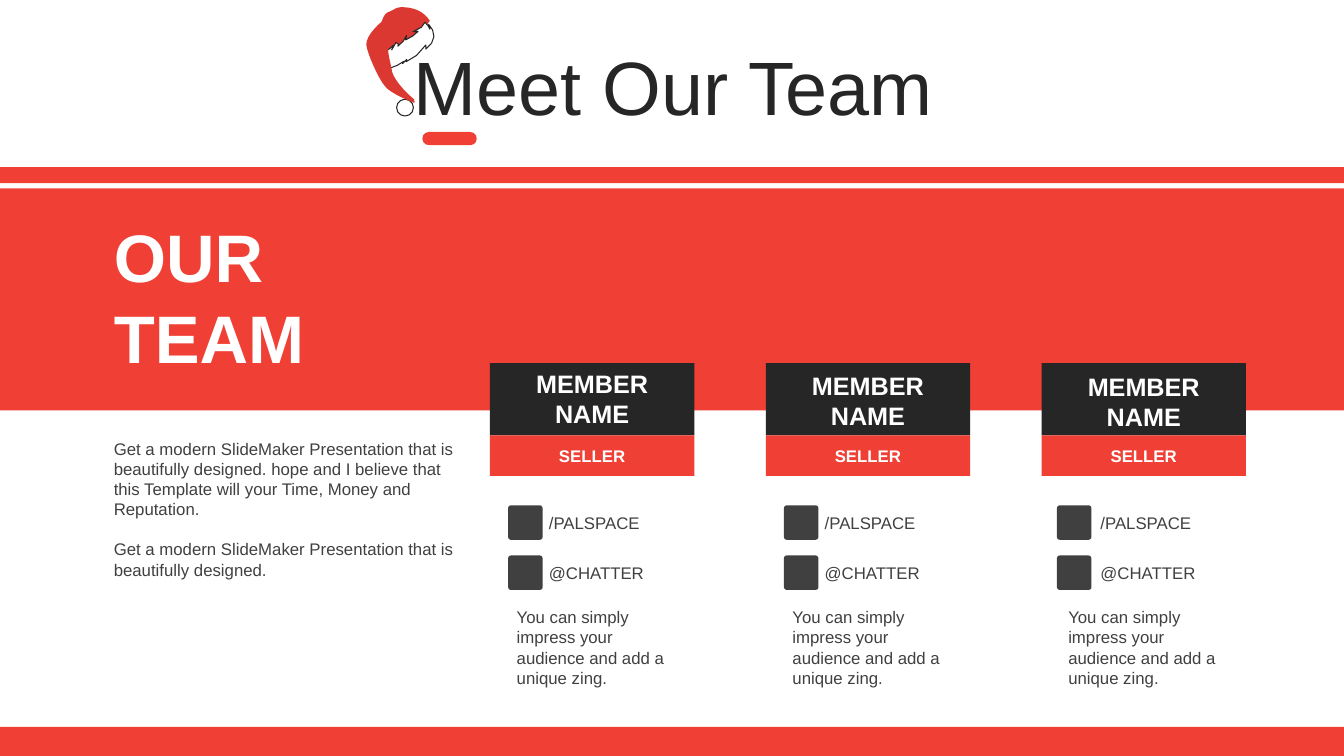
from dataclasses import dataclass

import pptx
import pptx.dml.color
import pptx.enum.shapes
import pptx.enum.text
import pptx.util
from pptx.util import Pt

SHAPE = pptx.enum.shapes.MSO_SHAPE
ALIGN = pptx.enum.text.PP_ALIGN
ANCHOR = pptx.enum.text.MSO_ANCHOR


@dataclass(frozen=True)
class Theme:
    font: str = "Arial"
    red: str = "F04036"
    hat_red: str = "DC3832"
    dark: str = "262626"
    grey: str = "404040"
    white: str = "FFFFFF"
    title: int = 54
    heading: int = 48
    name: int = 18
    body: int = 12


THEME = Theme()
SLIDE_WIDTH, SLIDE_HEIGHT = 960, 540
CARD_LEFT, CARD_PITCH, CARD_WIDTH = 350, 197, 146
HAT_ROTATION = 345.1

# Each curve is a start point followed by groups of two handles and an end point.
HAT_CROWN = [
    (269.3, 32.4),
    (267.8, 31.7), (267.1, 31), (265.7, 30.2),
    (265, 25.2), (268.6, 19.4), (271.4, 15.1),
    (275, 11.5), (276.5, 6.5), (281.5, 6.5),
    (286.6, 5.8), (286.6, 4.3), (293, 6.5),
    (298.8, 8.6), (304.6, 12.2), (307.4, 20.2),
    (303.1, 23.8), (298.8, 27.4), (294.5, 31),
    (290.2, 31), (283.7, 31.7), (279.4, 31.7),
    (275, 32.4), (272.9, 32.4), (269.3, 32.4),
]
HAT_TAIL = [
    (285.8, 75.6),
    (285.1, 74.9), (272.9, 66.2), (270.7, 59.8),
    (267.8, 53.3), (265, 35.3), (265.7, 28.8),
    (266.4, 22.3), (281.5, 13.7), (285.1, 14.4),
    (288.7, 15.1), (283.7, 28.1), (281.5, 31.7),
    (278.6, 36), (279.4, 44.6), (278.6, 51.8),
    (278.6, 58.3), (284.4, 69.1), (288.7, 74.9),
    (288, 76.3), (290.2, 79.2), (285.8, 75.6),
]
HAT_BRIM = [
    (309.6, 22.3), (309.6, 25.9), (308.9, 23), (307.4, 20.2), (304, 23),
    (297.4, 24.5), (301, 25.2), (296.5, 27.4), (290.9, 28.8), (292.3, 25.9),
    (289, 29.2), (284.4, 31.7), (285, 30.2), (283.7, 28.8), (279.4, 33.1),
    (281.5, 30.2), (278, 32), (273.6, 33.1), (270, 32.8), (267.8, 31),
    (267.3, 33.5), (268.6, 36.7), (267.8, 36.7), (272.2, 43.9), (270.7, 42.5),
    (272.2, 44.6), (275, 45.4), (280.5, 44.8), (285.8, 43.2), (284.4, 44.6),
    (288, 42.5), (287.3, 43.9), (295.5, 41.5), (303.8, 36), (303.1, 38.9),
    (308.2, 35.8), (311, 31.7), (311.3, 27),
]


def rgb(color):
    return pptx.dml.color.RGBColor.from_string(color)


def paint(shape, fill, line=None):
    shape.shadow.inherit = False
    shape.fill.solid()
    shape.fill.fore_color.rgb = rgb(fill)
    if line:
        shape.line.color.rgb = rgb(line)
        shape.line.width = Pt(0.75)
    else:
        shape.line.fill.background()


def add_block(slide, left, top, width, height, fill, kind=SHAPE.RECTANGLE,
              line=None, corner=None):
    shape = slide.shapes.add_shape(kind, Pt(left), Pt(top), Pt(width), Pt(height))
    if corner is not None:
        shape.adjustments[0] = corner
    paint(shape, fill, line)
    return shape


def add_text(slide, paragraphs, left, top, width, height, size=THEME.body,
             color=THEME.grey, bold=False, align=ALIGN.LEFT, anchor=ANCHOR.TOP,
             gap=0, line_spacing=None):
    box = slide.shapes.add_textbox(Pt(left), Pt(top), Pt(width), Pt(height))
    frame = box.text_frame
    frame.word_wrap = True
    frame.vertical_anchor = anchor
    for index, text in enumerate(paragraphs):
        paragraph = frame.add_paragraph() if index else frame.paragraphs[0]
        paragraph.alignment = align
        if line_spacing:
            paragraph.line_spacing = line_spacing
        if index and gap:
            paragraph.space_before = Pt(gap)
        run = paragraph.add_run()
        run.text = text
        run.font.name = THEME.font
        run.font.size = Pt(size)
        run.font.bold = bold
        run.font.color.rgb = rgb(color)


def curve_points(curve, steps=8):
    """Return points along a chain of cubic Bézier segments."""
    points = [curve[0]]
    for start in range(0, len(curve) - 1, 3):
        a, b, c, d = curve[start:start + 4]
        for step in range(1, steps + 1):
            t = step / steps
            u = 1 - t
            points.append(tuple(
                u**3 * a[axis] + 3 * u * u * t * b[axis]
                + 3 * u * t * t * c[axis] + t**3 * d[axis] for axis in (0, 1)))
    return points


def add_outline(slide, points, fill, line=None):
    builder = slide.shapes.build_freeform(*points[0], scale=Pt(1))
    # Work in hundredths of a point so that small curves stay smooth.
    builder = slide.shapes.build_freeform(
        *(round(value * 100) for value in points[0]), scale=Pt(1) / 100)
    builder.add_line_segments(
        [(round(x * 100), round(y * 100)) for x, y in points[1:]], close=True)
    shape = builder.convert_to_shape()
    shape.rotation = HAT_ROTATION
    paint(shape, fill, line)


def add_hat(slide):
    add_outline(slide, curve_points(HAT_CROWN), THEME.hat_red)
    add_block(slide, 283.3, 70.9, 12, 12, THEME.white, SHAPE.OVAL, THEME.dark)
    add_outline(slide, HAT_BRIM, THEME.white, THEME.dark)
    add_outline(slide, curve_points(HAT_TAIL), THEME.hat_red)


def add_member(slide, left, name_top, icon_left):
    add_block(slide, left, 259.4, CARD_WIDTH, 51.6, THEME.dark)
    add_block(slide, left, 311, CARD_WIDTH, 29, THEME.red)
    label = dict(color=THEME.white, bold=True, align=ALIGN.CENTER, anchor=ANCHOR.MIDDLE)
    add_text(slide, ["MEMBER", "NAME"], left + 15, name_top, 116, 51,
             size=THEME.name, **label)
    add_text(slide, ["SELLER"], left + 15, 314.6, 116, 22.3, **label)
    for row, handle in enumerate(["/PALSPACE", "@CHATTER"]):
        top = 361 + 35.8 * row
        add_block(slide, icon_left, top, 24.6, 24.6, THEME.grey,
                  SHAPE.ROUNDED_RECTANGLE, corner=0.08)
        add_text(slide, [handle], left + 35, top + 1.2, 96.5, 21.8, anchor=ANCHOR.MIDDLE)
    add_text(slide, ["You can simply impress your audience and add a unique zing."],
             left + 12, 430, 122.4, 65.5)


def main():
    presentation = pptx.Presentation()
    presentation.slide_width = Pt(SLIDE_WIDTH)
    presentation.slide_height = Pt(SLIDE_HEIGHT)
    slide = presentation.slides.add_slide(presentation.slide_layouts[6])

    for top, height in [(134.6, 158.6), (119.4, 11.4), (519.2, 20.8)]:
        add_block(slide, 0, top, SLIDE_WIDTH, height, THEME.red)
    add_text(slide, ["Meet Our Team"], 25.2, 36.7, 911.5, 56.9, size=THEME.title,
             color=THEME.dark, align=ALIGN.CENTER, anchor=ANCHOR.MIDDLE,
             line_spacing=0.9)
    add_text(slide, ["OUR", "TEAM"], 74.2, 150.5, 226.8, 124.6, size=THEME.heading,
             color=THEME.white, bold=True)
    add_text(slide, [
        "Get a modern SlideMaker Presentation that is beautifully designed. hope and "
        "I believe that this Template will your Time, Money and Reputation.",
        "Get a modern SlideMaker Presentation that is beautifully designed.",
    ], 74.2, 309.6, 261.4, 108.7, gap=14.4)

    for column, (name_top, icon_shift) in enumerate([(259.2, 13), (260.6, 13), (261.4, 11)]):
        left = CARD_LEFT + CARD_PITCH * column
        add_member(slide, left, name_top, left + icon_shift)
    add_hat(slide)
    add_block(slide, 301.7, 94.3, 38.9, 9.4, THEME.red, SHAPE.ROUNDED_RECTANGLE, corner=0.5)
    presentation.save("out.pptx")


if __name__ == "__main__":
    main()
